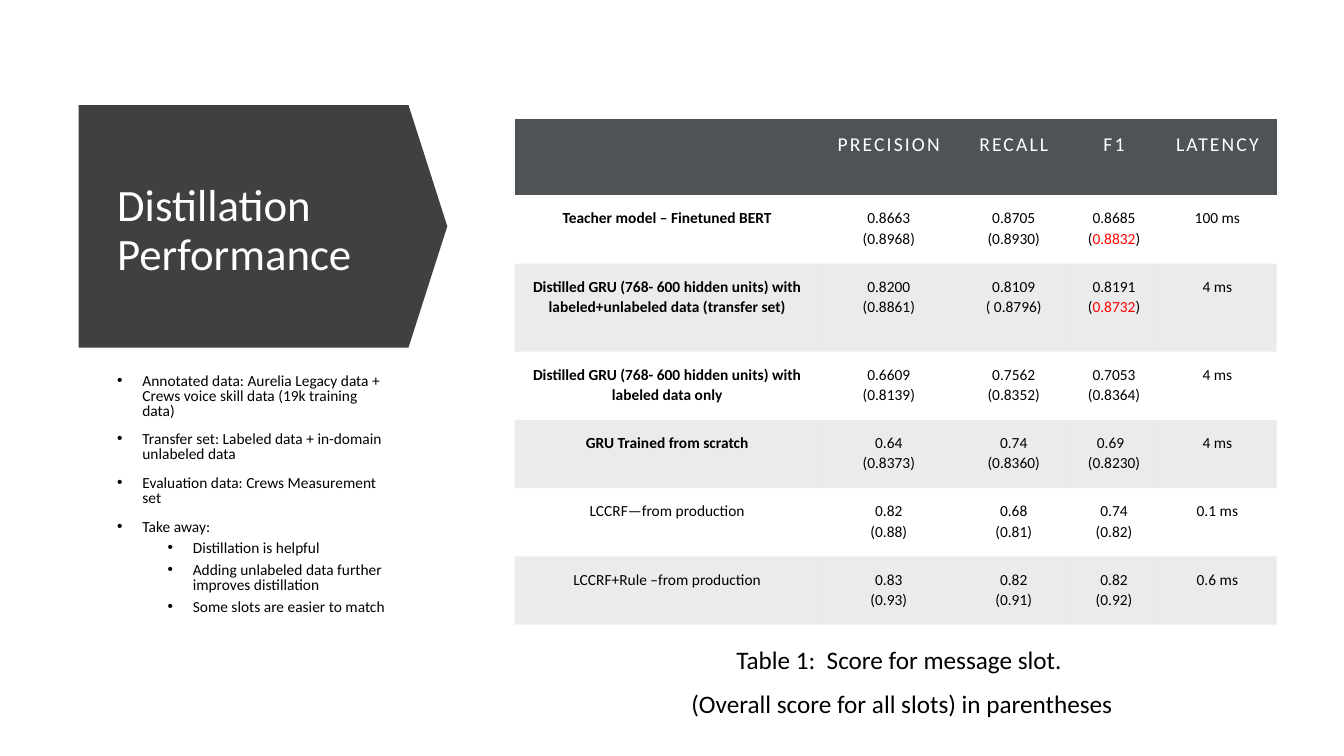
from lxml import etree
from pptx import Presentation
from pptx import util as u
from pptx.dml.color import RGBColor
from pptx.enum import shapes, text
from pptx.oxml.ns import qn

COLORS = {"ink": "000000", "paper": "FFFFFF", "arrow": "404040",
          "header": "505356", "accent": "FF0000"}
NO_GRID_STYLE = "{2D5ABB26-0587-4C30-8999-92F81FD0307C}"

BULLETS = [
    (0, "Annotated data: Aurelia Legacy data + Crews voice skill data (19k training data)"),
    (0, "Transfer set: Labeled data + in-domain unlabeled data"),
    (0, "Evaluation data: Crews Measurement set"),
    (0, "Take away:"),
    (1, "Distillation is helpful"),
    (1, "Adding unlabeled data further improves distillation"),
    (1, "Some slots are easier to match"),
]
CAPTION = ["Table 1:  Score for message slot. ",
           "(Overall score for all slots) in parentheses"]
HEADER = ["", "PRECISION", "RECALL", "F1", "LATENCY"]
MODELS = [
    ["Teacher model – Finetuned BERT",
     "0.8663\n(0.8968)", "0.8705\n(0.8930)", "0.8685\n(|0.8832|)", "100 ms"],
    ["Distilled GRU (768- 600 hidden units) with labeled+unlabeled data (transfer set)",
     "0.8200\n(0.8861)", "0.8109\n( 0.8796)", "0.8191\n(|0.8732|)", "4 ms"],
    ["Distilled GRU (768- 600 hidden units) with labeled data only",
     "0.6609\n(0.8139)", "0.7562\n(0.8352)", "0.7053\n(0.8364)", "4 ms"],
    ["GRU Trained from scratch",
     "0.64\n(0.8373)", "0.74\n(0.8360)", "0.69  \n(0.8230)", "4 ms"],
    ["LCCRF—from production",
     "0.82\n(0.88)", "0.68\n(0.81)", "0.74\n(0.82)", "0.1 ms"],
    ["LCCRF+Rule –from production",
     "0.83\n(0.93)", "0.82\n(0.91)", "0.82\n(0.92)", "0.6 ms"],
]
NEURAL_MODELS = 4
COLUMN_WIDTHS = [291, 131, 107, 84, 113]
ROW_HEIGHTS = [73, 65, 84, 65, 65, 65, 65]


class Page:
    FONT = "Calibri"
    SCALE = 9525

    def __init__(self, deck):
        self.slide = deck.slides.add_slide(deck.slide_layouts[1])

    @classmethod
    def px(cls, *lengths):
        return [length * cls.SCALE for length in lengths]

    def color(self, name):
        return RGBColor.from_string(COLORS[name])

    def place(self, box, bounds):
        box.left, box.top, box.width, box.height = self.px(*bounds)
        frame = box.text_frame
        frame.word_wrap = True
        frame.auto_size = text.MSO_AUTO_SIZE.NONE
        return frame

    def style(self, para, size, color="ink", align=text.PP_ALIGN.LEFT,
              spacing=1.07, before=0, after=0, bold=False):
        para.alignment = align
        para.line_spacing = spacing
        para.space_before, para.space_after = u.Pt(before), u.Pt(after)
        font = para.font
        font.name, font.size, font.bold = self.FONT, u.Pt(size), bold
        font.color.rgb = self.color(color)

    def arrow(self, bounds, rotation, adjustments):
        arrow = self.slide.shapes.add_shape(shapes.MSO_SHAPE.DOWN_ARROW, *self.px(*bounds))
        arrow.rotation = rotation
        for index, value in enumerate(adjustments):
            arrow.adjustments[index] = value
        arrow.shadow.inherit = False
        arrow.fill.solid()
        arrow.fill.fore_color.rgb = self.color("arrow")
        arrow.line.fill.background()
        tree = arrow.element.getparent()
        tree.insert(2, arrow.element)

    def title(self, words, bounds):
        frame = self.place(self.slide.shapes.title, bounds)
        frame.vertical_anchor = text.MSO_ANCHOR.MIDDLE
        frame.text = words
        self.style(frame.paragraphs[0], 32, "paper", spacing=0.9)

    def bullets(self, items, bounds):
        frame = self.place(self.slide.placeholders[1], bounds)
        frame.vertical_anchor = text.MSO_ANCHOR.TOP
        frame.text = "\n".join(words for level, words in items)
        for para, (level, words) in zip(frame.paragraphs, items):
            para.level = level
            self.style(para, 11, spacing=0.8, before=5 if level else 10)
            properties = para._p.get_or_add_pPr()
            left, hang = self.px(24 + 48 * level, -24)
            properties.set("marL", str(left))
            properties.set("indent", str(hang))
            bullet_font = etree.Element(qn("a:buFont"), typeface="Arial")
            bullet = etree.Element(qn("a:buChar"), char="•")
            defaults = properties.find(qn("a:defRPr"))
            defaults.addprevious(bullet_font)
            defaults.addprevious(bullet)

    def caption(self, lines, bounds):
        box = self.slide.shapes.add_textbox(*self.px(*bounds))
        frame = self.place(box, bounds)
        frame.text = "\n".join(lines)
        for para in frame.paragraphs:
            self.style(para, 18, align=text.PP_ALIGN.CENTER, after=8)

    def table(self, rows, left, top, widths, heights):
        bounds = self.px(left, top, sum(widths), sum(heights))
        frame = self.slide.shapes.add_table(len(rows), len(widths), *bounds)
        frame.element.find(".//" + qn("a:tableStyleId")).text = NO_GRID_STYLE
        table = frame.table
        table.first_row = table.horz_banding = False
        for column, width in zip(table.columns, self.px(*widths)):
            column.width = width
        for row, height in zip(table.rows, self.px(*heights)):
            row.height = height
        for r, values in enumerate(rows):
            for c, words in enumerate(values):
                self.cell(table.cell(r, c), words, header=r == 0, banded=r % 2 == 0,
                          bold=c == 0 and 1 <= r <= NEURAL_MODELS)

    def cell(self, cell, words, header, banded, bold):
        cell.margin_left, cell.margin_right, cell.margin_top, cell.margin_bottom = \
            self.px(12, 12, 12, 12)
        if banded:
            cell.fill.solid()
            cell.fill.fore_color.rgb = self.color("header" if header else "ink")
            if not header:
                tint = cell._tc.find(".//" + qn("a:srgbClr"))
                etree.SubElement(tint, qn("a:alpha"), val="8000")
        else:
            cell.fill.background()
        for index, line in enumerate(words.split("\n")):
            frame = cell.text_frame
            para = frame.add_paragraph() if index else frame.paragraphs[0]
            self.style(para, 14 if header else 11, "paper" if header else "ink",
                       text.PP_ALIGN.CENTER, bold=bold)
            for part, piece in enumerate(line.split("|")):
                span = para.add_run()
                span.text = piece
                if part % 2:
                    span.font.color.rgb = self.color("accent")
                if header:
                    span.font._element.set("spc", "150")


def main():
    deck = Presentation()
    deck.slide_width, deck.slide_height = Page.px(1280, 720)
    page = Page(deck)
    page.arrow((135, 40, 231, 351), 270, (1, 0.16))
    page.title("Distillation \vPerformance", (102, 127, 280, 187))
    page.bullets(BULLETS, (102, 352, 280, 254))
    page.caption(CAPTION, (539, 607, 640, 82))
    page.table([HEADER] + MODELS, 490, 113, COLUMN_WIDTHS, ROW_HEIGHTS)
    deck.save("out.pptx")


if __name__ == "__main__":
    main()
